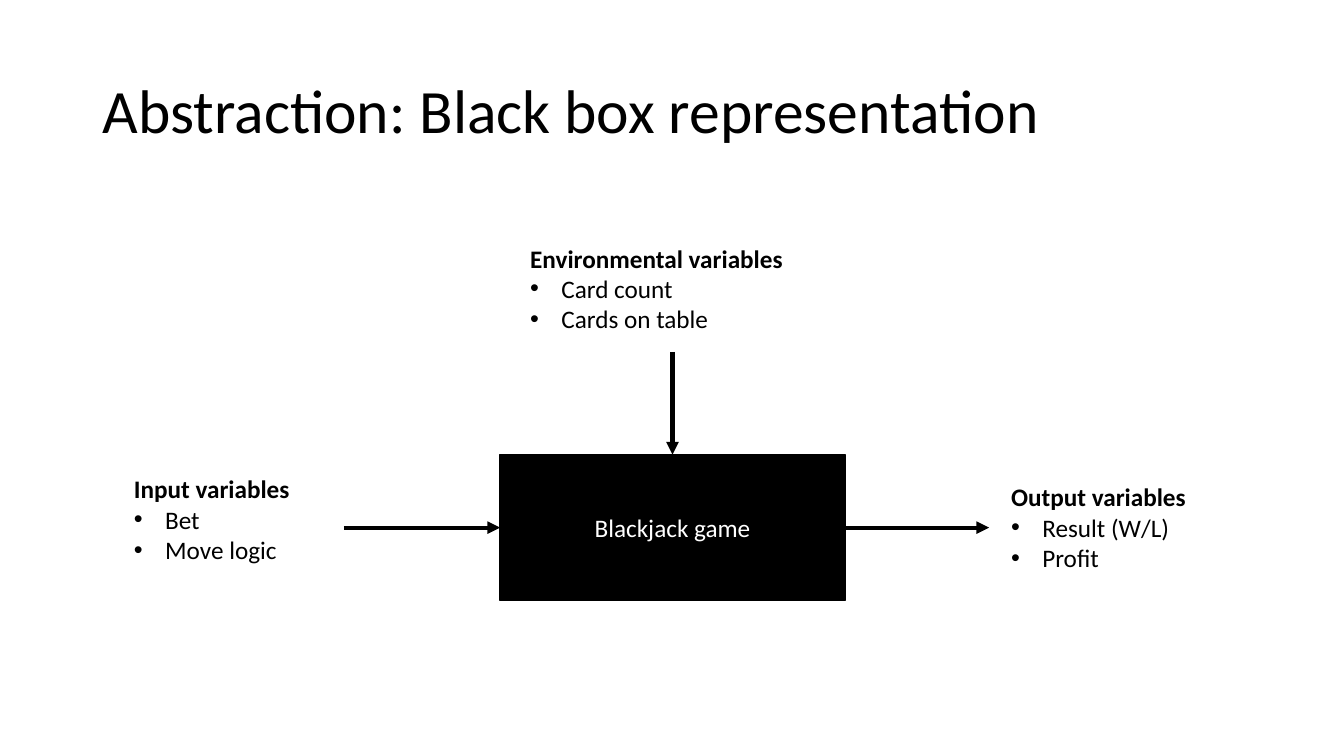
from lxml import etree
from pptx import Presentation
from pptx.dml.color import RGBColor
from pptx.enum.shapes import MSO_CONNECTOR, MSO_SHAPE
from pptx.enum.text import MSO_ANCHOR, PP_ALIGN
from pptx.oxml.ns import qn
from pptx.util import Inches, Pt

RECTANGLE = MSO_SHAPE.RECTANGLE
STRAIGHT = MSO_CONNECTOR.STRAIGHT
MIDDLE = MSO_ANCHOR.MIDDLE
CENTER = PP_ALIGN.CENTER

FONT = "Calibri"
COLORS = {"ink": "000000", "on_ink": "FFFFFF"}
SLIDE_WIDTH, SLIDE_HEIGHT = 13.33, 7.5
BULLET_INDENT = 0.31


def color(name):
    return RGBColor.from_string(COLORS[name])


def style(paragraph, size, color_name="ink", bold=False):
    font = paragraph.font
    font.name, font.size, font.bold = FONT, Pt(size), bold
    font.color.rgb = color(color_name)


def add_bullet(paragraph):
    properties = paragraph._p.get_or_add_pPr()
    properties.set("marL", str(Inches(BULLET_INDENT)))
    properties.set("indent", str(-Inches(BULLET_INDENT)))
    # Bullet elements must come before the default run properties.
    properties.insert(0, etree.Element(qn("a:buFont"), typeface="Arial"))
    properties.insert(1, etree.Element(qn("a:buChar"), char="•"))


def add_title(slide, box, title):
    frame = slide.shapes.add_textbox(*map(Inches, box)).text_frame
    frame.word_wrap = True
    frame.vertical_anchor = MIDDLE
    paragraph = frame.paragraphs[0]
    paragraph.text = title
    paragraph.line_spacing = 0.9
    style(paragraph, 44)


def add_variables(slide, box, heading, variables):
    frame = slide.shapes.add_textbox(*map(Inches, box)).text_frame
    frame.word_wrap = True
    heading_line = frame.paragraphs[0]
    heading_line.text = heading
    style(heading_line, 18, bold=True)
    for variable in variables:
        item = frame.add_paragraph()
        item.text = variable
        style(item, 18)
        add_bullet(item)


def add_black_box(slide, box, label):
    black_box = slide.shapes.add_shape(RECTANGLE, *map(Inches, box))
    black_box.shadow.inherit = False
    black_box.fill.solid()
    black_box.fill.fore_color.rgb = color("ink")
    black_box.line.color.rgb = color("ink")
    black_box.line.width = Pt(1)
    black_box.text_frame.vertical_anchor = MIDDLE
    paragraph = black_box.text_frame.paragraphs[0]
    paragraph.text = label
    paragraph.alignment = CENTER
    style(paragraph, 18, "on_ink")


def add_arrow(slide, start, end):
    arrow = slide.shapes.add_connector(STRAIGHT, *map(Inches, start + end))
    arrow.line.color.rgb = color("ink")
    arrow.line.width = Pt(3)
    etree.SubElement(arrow.line._get_or_add_ln(), qn("a:tailEnd"), type="triangle")
    etree.SubElement(arrow._element.spPr, qn("a:effectLst"))


def add_diagram(slide, box):
    """Place the black box in the given box, with its variables and arrows around it."""
    left, top, width, height = box
    right, center, middle = left + width, left + width / 2, top + height / 2

    add_black_box(slide, box, "Blackjack game")
    add_arrow(slide, (center, top - 1.02), (center, top))
    add_arrow(slide, (left - 1.55, middle), (left, middle))
    add_arrow(slide, (right, middle), (right + 1.43, middle))

    add_variables(slide, (left - 3.73, top + 0.14, 2.02, 1.31),
                  "Input variables", ["Bet", "Move logic"])
    add_variables(slide, (left + 0.2, top - 2.15, 3.01, 1.01),
                  "Environmental variables", ["Card count", "Cards on table"])
    add_variables(slide, (right + 1.55, top + 0.22, 3.01, 1.01),
                  "Output variables", ["Result (W/L)", "Profit"])


def main():
    deck = Presentation()
    deck.slide_width, deck.slide_height = Inches(SLIDE_WIDTH), Inches(SLIDE_HEIGHT)
    slide = deck.slides.add_slide(deck.slide_layouts[6])
    add_title(slide, (0.92, 0.4, 11.5, 1.45), "Abstraction: Black box representation")
    add_diagram(slide, (4.96, 4.51, 3.42, 1.45))
    deck.save("out.pptx")


if __name__ == "__main__":
    main()
